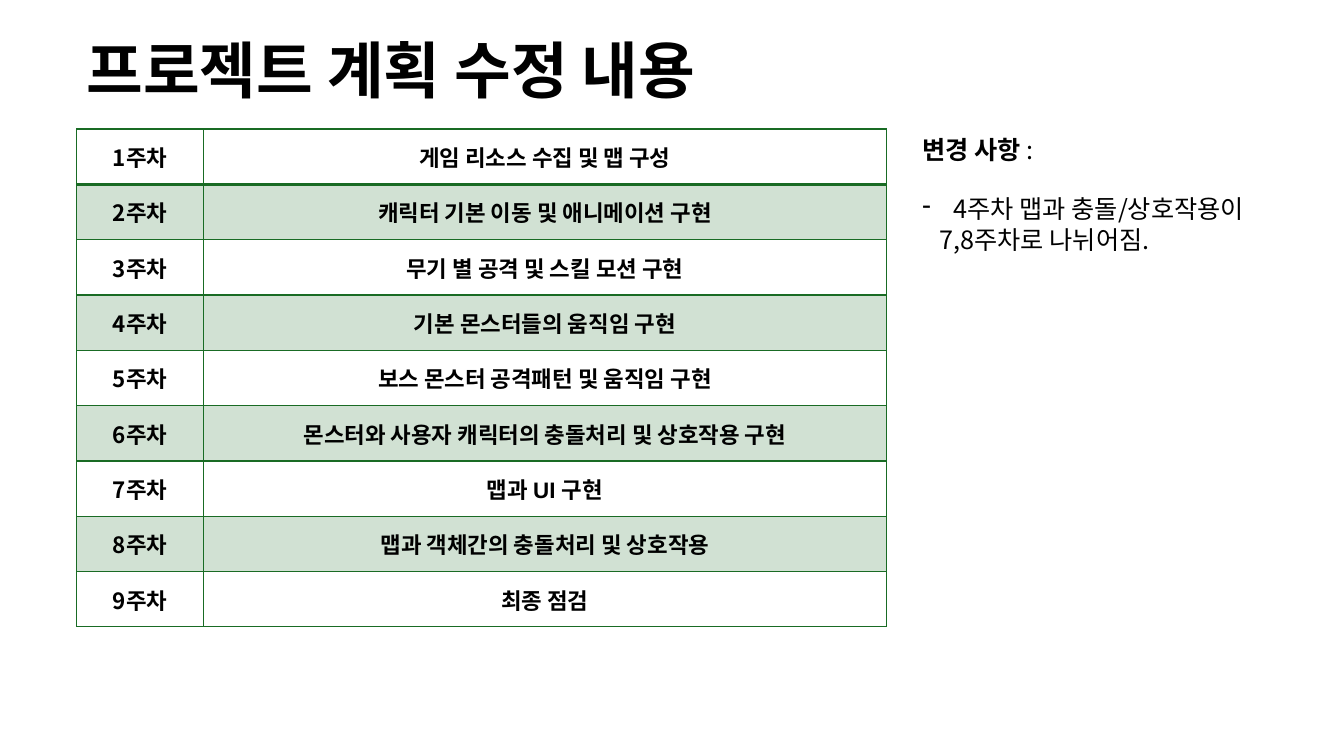
from lxml.etree import SubElement
from pptx import Presentation
from pptx.dml.color import RGBColor
from pptx.enum.text import MSO_ANCHOR, PP_ALIGN
from pptx.oxml.ns import qn
from pptx.util import Inches, Pt

COLORS = {"text": "000000", "green": "196B24"}
KOREAN_FONT = "Noto Sans CJK KR"
LATIN_FONT = "Arial"
LEFT, TOP = 0.76, 1.28
COLUMN_WIDTHS = [1.26, 6.77]
ROW_HEIGHT = 4.94 / 9
TASKS = [
    "게임 리소스 수집 및 맵 구성",
    "캐릭터 기본 이동 및 애니메이션 구현",
    "무기 별 공격 및 스킬 모션 구현",
    "기본 몬스터들의 움직임 구현",
    "보스 몬스터 공격패턴 및 움직임 구현",
    "몬스터와 사용자 캐릭터의 충돌처리 및 상호작용 구현",
    "맵과 UI 구현",
    "맵과 객체간의 충돌처리 및 상호작용",
    "최종 점검",
]


def add_run(paragraph, text, size, bold=False, latin=KOREAN_FONT):
    run = paragraph.add_run()
    run.text = text
    run.font.size = Pt(size)
    run.font.bold = bold
    run.font.name = latin
    run.font.color.rgb = RGBColor.from_string(COLORS["text"])
    east_asian = SubElement(run.font._element, qn("a:ea"))
    east_asian.set("typeface", KOREAN_FONT)


def add_border(cell, side, width):
    line = SubElement(cell._tc.get_or_add_tcPr(), qn(f"a:ln{side}"), w=str(Pt(width)))
    solid = SubElement(line, qn("a:solidFill"))
    SubElement(solid, qn("a:srgbClr"), val=COLORS["green"])


presentation = Presentation()
presentation.slide_width = Inches(13.33)
presentation.slide_height = Inches(7.5)
slide = presentation.slides.add_slide(presentation.slide_layouts[6])

# Title
title = slide.shapes.add_textbox(Inches(LEFT), 0, Inches(7.34), Inches(1.45)).text_frame
title.word_wrap = True
title.vertical_anchor = MSO_ANCHOR.MIDDLE
title.paragraphs[0].line_spacing = 0.9
add_run(title.paragraphs[0], "프로젝트 계획 수정 내용", 44, bold=True)

# Weekly schedule
schedule = slide.shapes.add_table(
    len(TASKS), len(COLUMN_WIDTHS), Inches(LEFT), Inches(TOP),
    Inches(sum(COLUMN_WIDTHS)), Inches(ROW_HEIGHT * len(TASKS)),
).table
schedule.first_row = False
schedule.horz_banding = False
for column, width in zip(schedule.columns, COLUMN_WIDTHS):
    column.width = Inches(width)

for row, task in enumerate(TASKS):
    schedule.rows[row].height = Inches(ROW_HEIGHT)
    for column, (text, latin) in enumerate([(f"{row + 1}주차", KOREAN_FONT), (task, LATIN_FONT)]):
        cell = schedule.cell(row, column)
        cell.vertical_anchor = MSO_ANCHOR.MIDDLE
        paragraph = cell.text_frame.paragraphs[0]
        paragraph.alignment = PP_ALIGN.CENTER
        add_run(paragraph, text, 16, bold=True, latin=latin)
        heavy_side = {0: "B", 1: "T"}.get(row)
        for side in "LRTB":
            add_border(cell, side, 2 if side == heavy_side else 1)
        if row % 2:
            cell.fill.solid()
            cell.fill.fore_color.rgb = RGBColor.from_string(COLORS["green"])
            color = cell._tc.tcPr.find(qn("a:solidFill")).find(qn("a:srgbClr"))
            SubElement(color, qn("a:alpha"), val="20000")
        else:
            cell.fill.background()

# Notes on what changed
changes = slide.shapes.add_textbox(Inches(9.05), Inches(TOP), Inches(3.69), Inches(1.31)).text_frame
changes.word_wrap = True
heading = changes.paragraphs[0]
add_run(heading, "변경 사항 ", 18, bold=True)
add_run(heading, ":", 18)

bullet = changes.add_paragraph()
bullet.space_before = Pt(21)
add_run(bullet, "4주차 맵과 충돌/상호작용이", 18)
bullet_properties = bullet._p.get_or_add_pPr()
bullet_properties.set("marL", str(Inches(0.31)))
bullet_properties.set("indent", str(Inches(-0.31)))
SubElement(bullet_properties, qn("a:buChar"), char="-")

continuation = changes.add_paragraph()
continuation._p.get_or_add_pPr().set("marL", str(Inches(0.17)))
add_run(continuation, "7,8주차로 나뉘어짐.", 18)

presentation.save("out.pptx")
